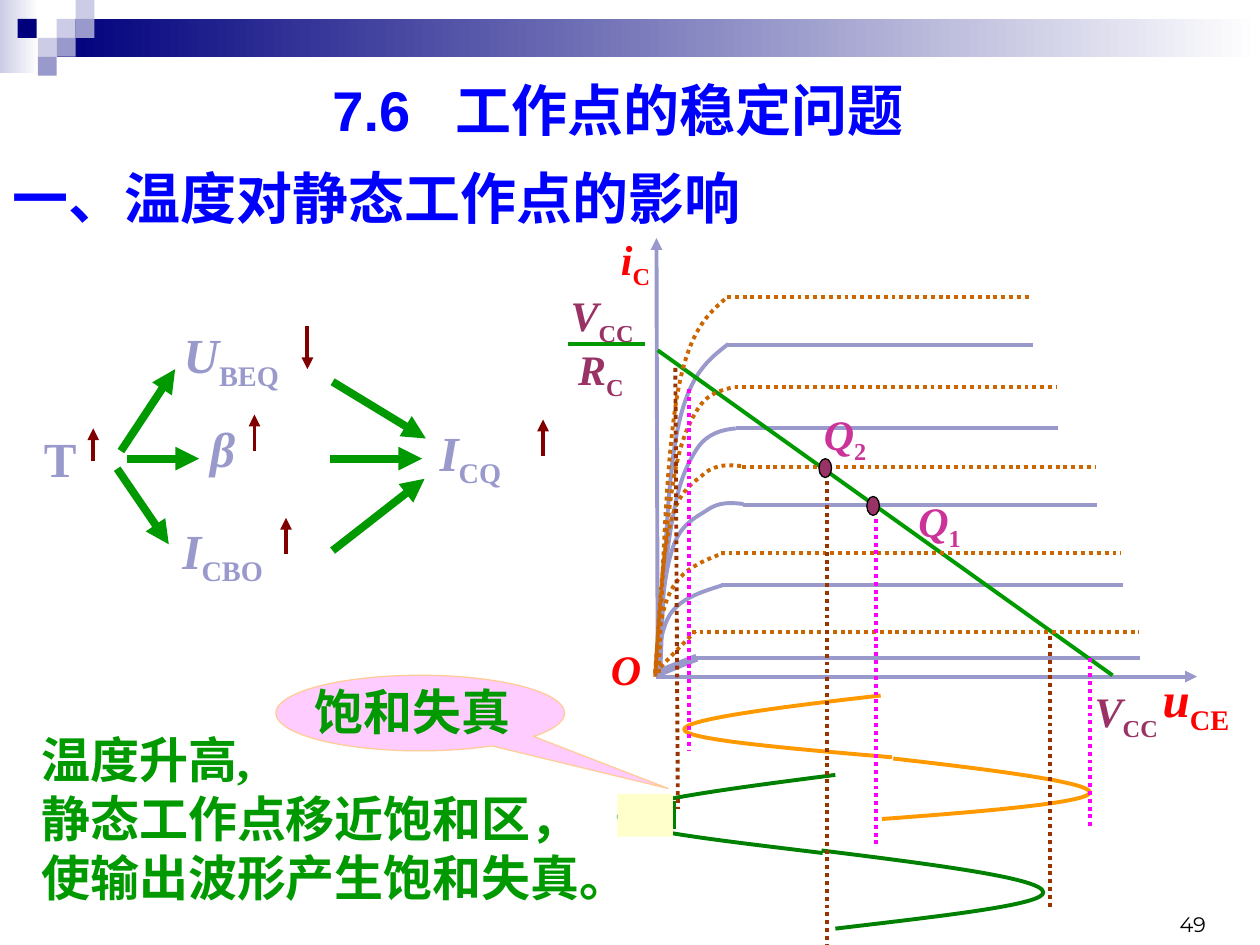
from dataclasses import dataclass

from lxml import etree
from pptx import Presentation
from pptx import util as u
from pptx.dml.color import RGBColor
from pptx.enum import dml, shapes, text
from pptx.oxml.ns import qn

COLUMNS, ROWS = 100, 75
SERIF, CJK = "Times New Roman", "Noto Sans CJK JP"
LILAC, AMBER, GREEN, DARK_GREEN = "9999CC", "CC6600", "009900", "008000"
ORANGE, MAGENTA, BROWN, MAROON = "FF9900", "FF00FF", "993300", "800000"
PLUM, PINK, RED, BLUE = "993366", "CC3399", "FF0000", "0000FF"
PALE, NAVY, WHITE, BLACK = "CCCCE6", "00007D", "FFFFFF", "000000"

Point = tuple[float, float]


@dataclass(frozen=True)
class Stroke:
    color: str
    width: float = 2.25
    dotted: bool = False
    arrow: bool = False


@dataclass(frozen=True)
class Symbol:
    left: float
    top: float
    width: float
    base: str
    sub: str = ""
    color: str = LILAC
    size: int = 28
    italic: bool = True


@dataclass(frozen=True)
class Characteristic:
    knee: list[Point]
    plateau: tuple[Point, Point]
    knee_width: float = 2.25


deck = Presentation()
deck.slide_width, deck.slide_height = u.Inches(10), u.Inches(7.5)
slide = deck.slides.add_slide(deck.slide_layouts[6])


def col(n: float) -> int:
    return round(deck.slide_width * n / COLUMNS)


def row(n: float) -> int:
    return round(deck.slide_height * n / ROWS)


def rgb(value: str) -> RGBColor:
    return RGBColor.from_string(value)


def style(line, stroke: Stroke) -> None:
    line.color.rgb = rgb(stroke.color)
    line.width = u.Pt(stroke.width)
    if stroke.dotted:
        line.dash_style = dml.MSO_LINE.ROUND_DOT


def segment(start: Point, end: Point, stroke: Stroke) -> None:
    connector = slide.shapes.add_connector(
        shapes.MSO_CONNECTOR.STRAIGHT, col(start[0]), row(start[1]), col(end[0]), row(end[1]))
    style(connector.line, stroke)
    properties = connector._element.spPr
    if stroke.arrow:
        etree.SubElement(properties.find(qn("a:ln")), qn("a:tailEnd"), type="triangle")
    etree.SubElement(properties, qn("a:effectLst"))


def curve(knots: list[Point], stroke: Stroke) -> None:
    points = [(col(x), row(y)) for x, y in knots]
    builder = slide.shapes.build_freeform(*points[0])
    builder.add_line_segments(points[1:], close=False)
    outline = builder.convert_to_shape()
    track = next(outline._element.iter(qn("a:path")))
    sides = track.findall(qn("a:lnTo"))
    for i in range(0, len(sides), 3):
        bend = etree.SubElement(track, qn("a:cubicBezTo"))
        for side in sides[i:i + 3]:
            bend.append(side[0])
            track.remove(side)
    outline.shadow.inherit = False
    outline.fill.background()
    style(outline.line, stroke)


def block(kind, left: float, top: float, width: float, height: float,
          colors: list[str], border: Stroke | None = None):
    area = slide.shapes.add_shape(kind, col(left), row(top), col(width), row(height))
    area.shadow.inherit = False
    if len(colors) > 1:
        area.fill.gradient()
        area.fill.gradient_angle = 0
        for stop, color in zip(area.fill.gradient_stops, colors):
            stop.color.rgb = rgb(color)
    else:
        area.fill.solid()
        area.fill.fore_color.rgb = rgb(colors[0])
    if border:
        style(area.line, border)
    else:
        area.line.fill.background()
    return area


def format_run(run, size: float, color: str, face: str, bold: bool = True, italic: bool = False) -> None:
    run.font.size, run.font.bold, run.font.italic = u.Pt(size), bold, italic
    run.font.color.rgb = rgb(color)
    run.font.name = face
    etree.SubElement(run._r.get_or_add_rPr(), qn("a:ea"), typeface=CJK)


def words(left: float, top: float, width: float, height: float, content: str,
          size: float, color: str, face: str, bold: bool = True, italic: bool = False):
    frame = slide.shapes.add_textbox(col(left), row(top), col(width), row(height)).text_frame
    frame.word_wrap = True
    frame.text = content
    for paragraph in frame.paragraphs:
        for run in paragraph.runs:
            format_run(run, size, color, face, bold, italic)
    return frame


def symbol(item: Symbol) -> None:
    frame = words(item.left, item.top, item.width, item.size * 0.22, item.base,
                  item.size, item.color, SERIF, italic=item.italic)
    if item.sub:
        index = frame.paragraphs[0].add_run()
        index.text = item.sub
        format_run(index, item.size, item.color, SERIF)
        index._r.get_or_add_rPr().set("baseline", "-25000")


def family(members: list[Characteristic], color: str, dotted: bool) -> None:
    for member in members:
        curve(member.knee, Stroke(color, member.knee_width, dotted))
        segment(*member.plateau, Stroke(color, dotted=dotted))


RECT, OVAL = shapes.MSO_SHAPE.RECTANGLE, shapes.MSO_SHAPE.OVAL
block(RECT, 0, 0, 3.1, 5.8, [PALE, WHITE])
block(RECT, 4.5, 1.5, 95.5, 3, [NAVY, WHITE])
for x, y, tint in [(4.5, 1.5, PALE), (6, 0, PALE), (6, 1.5, LILAC), (3, 3, PALE),
                   (1.4, 1.5, NAVY), (4.5, 3, LILAC), (3, 4.5, LILAC)]:
    block(RECT, x, y, 1.5, 1.5, [tint])

family([
    Characteristic([(52.1, 53.5), (52.3, 51.6), (52.5, 49.7), (53.3, 48.6), (54.2, 47.4),
                    (55.9, 46.9), (57.5, 46.4)], ((57.2, 46.4), (89.1, 46.4))),
    Characteristic([(52.1, 53.7), (52.4, 49.8), (52.6, 46), (53.3, 43.8), (53.9, 41.6), (55.2, 41.1),
                    (56.1, 40.5), (57.1, 39.8), (58, 39.9), (59, 40)], ((59, 40.05), (87.1, 40.05))),
    Characteristic([(52.1, 53.5), (52.1, 53.5), (53.7, 52.8), (55.3, 52.2)],
                   ((55, 52.2), (90.5, 52.2)), 4.5),
    Characteristic([(52.1, 53.5), (52.5, 48.8), (52.8, 44.1), (53.4, 41.1), (53.9, 38.1), (54.6, 36.7),
                    (55.4, 35.5), (56.2, 34.4), (57.3, 34.1), (58.4, 34)], ((58.4, 34), (84, 34))),
    Characteristic([(52.4, 53.5), (52.7, 45.9), (52.9, 38.3), (53.8, 34), (54.7, 29.6),
                    (56.3, 28.5), (57.8, 27.3)], ((57.8, 27.35), (82, 27.35))),
], LILAC, False)
segment((52.1, 53.7), (95, 53.7), Stroke(LILAC, arrow=True))
segment((52.2, 53.7), (52.1, 18.9), Stroke(LILAC, arrow=True))
segment((52.2, 27.8), (88.3, 53.6), Stroke(GREEN))
segment((45.1, 27.3), (51.2, 27.3), Stroke(GREEN))

family([
    Characteristic([(52, 53.4), (52.2, 50.9), (52.4, 48.4), (53.3, 46.8), (54.1, 45.2),
                    (55.8, 44.5), (57.4, 43.9)], ((57.2, 43.9), (89, 43.9))),
    Characteristic([(52, 53.7), (52.3, 49), (52.5, 44.3), (53.2, 41.6), (53.8, 38.9), (55.1, 38.3),
                    (56, 37.5), (57, 36.8), (57.9, 36.9), (58.9, 37)], ((58.9, 37.05), (87, 37.05))),
    Characteristic([(52, 53.4), (52, 53.4), (53.6, 51.7), (55.2, 50.1)], ((54.9, 50.15), (90.4, 50.15))),
    Characteristic([(52, 53.4), (52.4, 48), (52.8, 42.5), (53.3, 39.1), (53.8, 35.6), (54.5, 33.9),
                    (55.3, 32.6), (56.1, 31.2), (57.2, 31), (58.3, 30.7)], ((58.3, 30.75), (83.9, 30.75))),
    Characteristic([(52.3, 53.4), (52.6, 44.8), (52.9, 36.1), (53.8, 31.1), (54.7, 26.2),
                    (56.2, 24.9), (57.7, 23.6)], ((57.7, 23.6), (81.9, 23.6))),
], AMBER, True)

for wave, color in [
    ([(69.9, 55.2), (62, 56.1), (54.2, 57.1), (54.3, 57.9), (54.4, 58.7), (62.6, 59.4), (70.8, 60.1)], ORANGE),
    ([(70.9, 60.2), (78.8, 61.1), (86.6, 62.1), (86.5, 62.9), (86.4, 63.7), (78.2, 64.4), (70, 65)], ORANGE),
    ([(66.3, 73.7), (74.7, 72.7), (83, 71.8), (82.8, 70.8), (82.7, 69.7), (74, 68.6), (65.2, 67.5)], DARK_GREEN),
    ([(65.3, 67.7), (57.1, 66.7), (49, 65.8), (49.1, 64.8), (49.3, 63.7), (57.8, 62.6), (66.3, 61.5)], DARK_GREEN),
]:
    curve(wave, Stroke(color))
segment((53.5, 65.8), (53.5, 63.6), Stroke(DARK_GREEN))
block(RECT, 49, 63, 4.4, 3.4, ["FFFFCC"])

for start, end, color in [
    ((69.5, 41.2), (69.5, 67), MAGENTA), ((65.6, 38.2), (65.6, 75), BROWN),
    ((53.6, 29.2), (53.8, 64.2), BROWN), ((54.7, 30.9), (54.7, 59.6), MAGENTA),
    ((83.3, 50.5), (83.3, 72.2), BROWN), ((86.5, 52.2), (86.5, 65.6), MAGENTA),
]:
    segment(start, end, Stroke(color, dotted=True))

for x, tail, tip in [(7.4, 36.6, 34), (24.4, 25.9, 29.3), (22.7, 44, 41.1),
                     (20.2, 35.8, 32.9), (43.1, 36.2, 33.3)]:
    segment((x, tail), (x, tip), Stroke(MAROON, arrow=True))
for start, end in [((9.6, 35.8), (13.9, 29.3)), ((10.1, 36.4), (15.8, 36.4)),
                   ((9.3, 37.2), (13.4, 43.2)), ((26.4, 30.3), (33.8, 34.8)),
                   ((26.2, 36.4), (33.5, 36.4)), ((26.4, 43.7), (33.7, 38))]:
    segment(start, end, Stroke(GREEN, 4.5, arrow=True))

for item in [
    Symbol(2.5, 33.5, 4.8, "T", italic=False),
    Symbol(13.6, 25.3, 10.8, "U", "BEQ"),
    Symbol(13.5, 40.8, 10, "I", "CBO"),
    Symbol(15.7, 32.7, 4.9, "β"),
    Symbol(33.9, 33, 10, "I", "CQ"),
    Symbol(47.5, 50.6, 5.5, "O", "", RED, 24),
    Symbol(91.3, 52.6, 8.7, "u", "CE", RED),
    Symbol(48.3, 18, 4.7, "i", "C", RED, 24),
    Symbol(64.4, 31.9, 7.1, "Q", "2", PINK, 24),
    Symbol(71.9, 38.8, 7.1, "Q", "1", PINK, 24),
    Symbol(44.3, 22.5, 7.6, "V", "CC", PLUM, 24),
    Symbol(44.9, 26.8, 6, "R", "C", PLUM, 24),
    Symbol(85.9, 53.9, 7.6, "V", "CC", PLUM, 24),
]:
    symbol(item)

for x, y in [(65, 36.4), (68.8, 39.4)]:
    block(OVAL, x, y, 1, 1.5, [PLUM], Stroke(BLACK, 0.75))
callout = block(shapes.MSO_SHAPE.OVAL_CALLOUT, 21.9, 53.6, 22.9, 6, ["FFCCFF"], Stroke("FFCC99", 0.75))
callout.adjustments[0], callout.adjustments[1] = 0.859, 0.997
words(24, 53.6, 18.8, 5.7, "饱和失真", 28, GREEN, SERIF)

words(2.3, 57.4, 50.2, 15, "温度升高,\n静态工作点移近饱和区，\n使输出波形产生饱和失真。", 28, GREEN, SERIF)
words(0, 12.5, 83.7, 6.4, "一、温度对静态工作点的影响", 32, BLUE, CJK)
heading = words(25.4, 5.5, 48, 6.4, "7.6\t工作点的稳定问题", 32, BLUE, "Arial")
stops = etree.SubElement(heading.paragraphs[0]._p.get_or_add_pPr(), qn("a:tabLst"))
etree.SubElement(stops, qn("a:tab"), pos=str(col(9.75)), algn="l")
page = words(73.4, 69.85, 23.3, 5, "49", 12, BLACK, "Montserrat", bold=False)
page.vertical_anchor = text.MSO_ANCHOR.BOTTOM
page.paragraphs[0].alignment = text.PP_ALIGN.RIGHT

deck.save("out.pptx")
